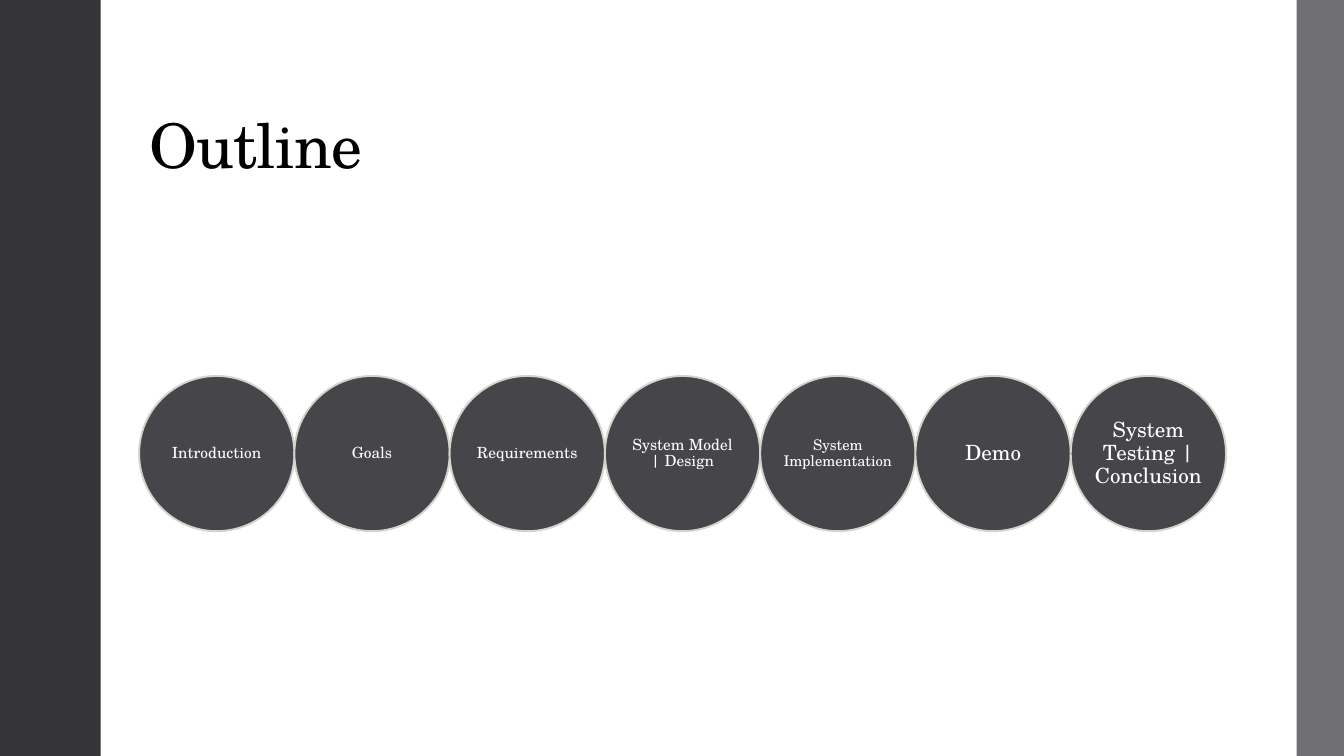
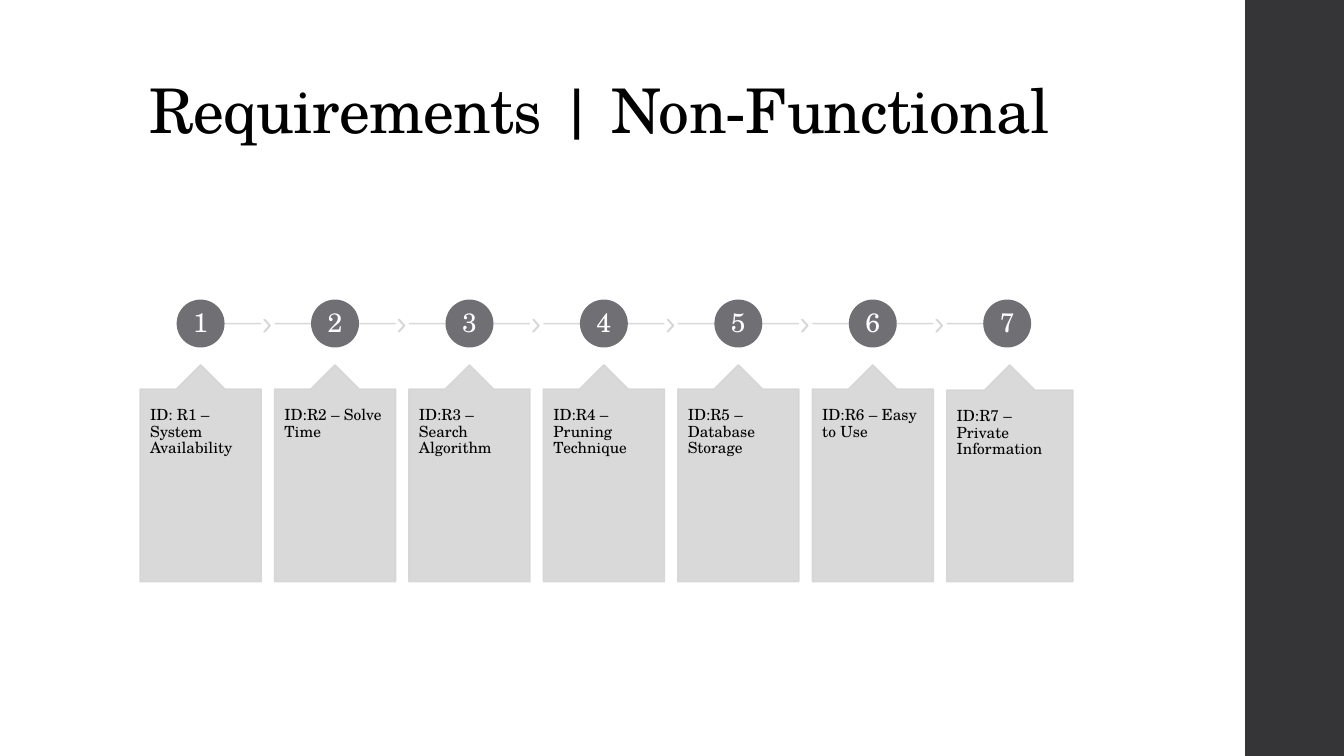
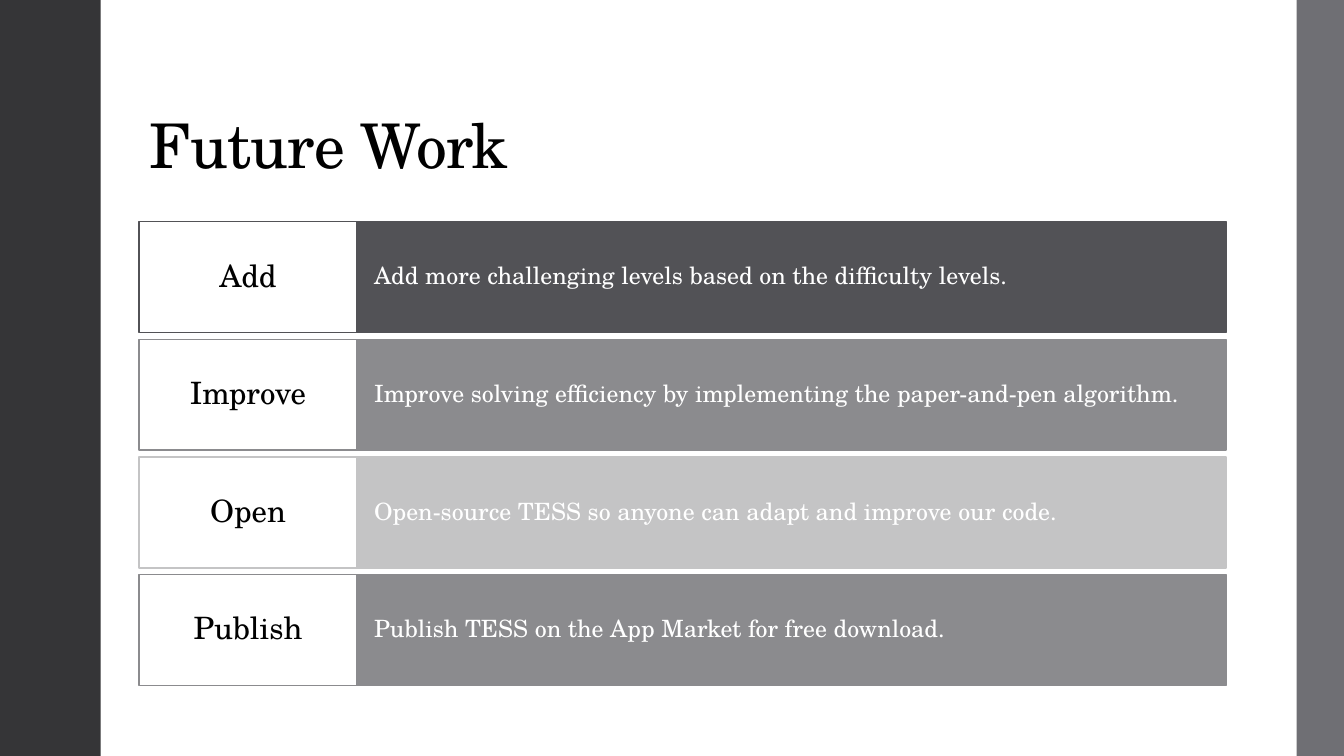
from lxml import etree
from pptx import Presentation
from pptx.dml.color import RGBColor
from pptx.enum.shapes import MSO_CONNECTOR, MSO_SHAPE
from pptx.enum.text import MSO_ANCHOR, MSO_AUTO_SIZE, PP_ALIGN
from pptx.oxml.ns import qn
from pptx.util import Inches, Pt

RECTANGLE, OVAL = MSO_SHAPE.RECTANGLE, MSO_SHAPE.OVAL
CHEVRON, CALLOUT = MSO_SHAPE.CHEVRON, MSO_SHAPE.UP_ARROW_CALLOUT
STRAIGHT = MSO_CONNECTOR.STRAIGHT
TOP, MIDDLE, BOTTOM = MSO_ANCHOR.TOP, MSO_ANCHOR.MIDDLE, MSO_ANCHOR.BOTTOM
LEFT, CENTER = PP_ALIGN.LEFT, PP_ALIGN.CENTER

FONT = "TeX Gyre Schola"
COLORS = {
    "white": "FFFFFF", "black": "000000", "dark": "353537", "gray": "6F6F74",
    "circle": "46464A", "ring": "D6D3CC", "card": "D5D5D6",
    "row_dark": "525256", "row_medium": "8B8B8E", "row_light": "C4C4C5",
}
SLIDE_WIDTH, SLIDE_HEIGHT = 13.33, 7.5
CONTENT_LEFT = 1.38
TWO_BANDS = [(0, 1, "dark"), (12.86, 0.47, "gray")]
ONE_BAND = [(12.35, 0.98, "dark")]

OUTLINE = [
    ("Introduction", 11), ("Goals", 11), ("Requirements", 11),
    ("System Model | Design", 11), ("System Implementation", 10.5),
    ("Demo", 15), ("System Testing | Conclusion", 15),
]
REQUIREMENTS = [
    "ID: R1 – System Availability", "ID:R2 – Solve Time",
    "ID:R3 – Search Algorithm", "ID:R4 – Pruning Technique",
    "ID:R5 – Database Storage", "ID:R6 – Easy to Use",
    "ID:R7 – Private Information",
]
FUTURE_WORK = [
    ("Add", "Add more challenging levels based on the difficulty levels.", "row_dark"),
    ("Improve", "Improve solving efficiency by implementing the paper-and-pen algorithm.", "row_medium"),
    ("Open", "Open-source TESS so anyone can adapt and improve our code.", "row_light"),
    ("Publish", "Publish TESS on the App Market for free download.", "row_medium"),
]


def color(name):
    return RGBColor.from_string(COLORS[name])


def set_text(shape, text, size, color_name, align=CENTER, anchor=MIDDLE, insets=(0, 0)):
    frame = shape.text_frame
    frame.text = text
    frame.word_wrap = True
    frame.auto_size = MSO_AUTO_SIZE.NONE
    frame.vertical_anchor = anchor
    frame.margin_left = frame.margin_right = Inches(insets[0])
    frame.margin_top = frame.margin_bottom = Inches(insets[1])
    paragraph = frame.paragraphs[0]
    paragraph.alignment = align
    paragraph.line_spacing = 0.9
    paragraph.font.name = FONT
    paragraph.font.size = Pt(size)
    paragraph.font.color.rgb = color(color_name)
    return paragraph


def add_box(slide, kind, left, top, width, height, fill, line=None, line_width=1.1):
    shape = slide.shapes.add_shape(
        kind, Inches(left), Inches(top), Inches(width), Inches(height))
    shape.shadow.inherit = False
    shape.fill.solid()
    shape.fill.fore_color.rgb = color(fill)
    if line:
        shape.line.color.rgb = color(line)
        shape.line.width = Pt(line_width)
    else:
        shape.line.fill.background()
    return shape


def add_line(slide, start, end, y, line):
    connector = slide.shapes.add_connector(
        STRAIGHT, Inches(start), Inches(y), Inches(end), Inches(y))
    connector.line.color.rgb = color(line)
    connector.line.width = Pt(1.1)
    etree.SubElement(connector._element.spPr, qn("a:effectLst"))
    return connector


def set_opacity(shape, percent):
    for node in shape._element.spPr.iter(qn("a:srgbClr")):
        etree.SubElement(node, qn("a:alpha")).set("val", str(percent * 1000))


def add_slide(presentation, title, bands, anchor):
    slide = presentation.slides.add_slide(presentation.slide_layouts[5])
    for left, width, fill in bands:
        add_box(slide, RECTANGLE, left, 0, width, SLIDE_HEIGHT, fill)
    shape = slide.shapes.title
    shape.left, shape.top = Inches(CONTENT_LEFT), Inches(0.4)
    shape.width, shape.height = Inches(10.78), Inches(1.45)
    paragraph = set_text(shape, title, 44, "black", LEFT, anchor, (0.1, 0.05))
    paragraph._p.get_or_add_pPr().get_or_add_defRPr().set("spc", "-50")
    return slide


def build_outline(presentation):
    slide = add_slide(presentation, "Outline", TWO_BANDS, BOTTOM)
    diameter = 1.54
    for index, (text, size) in enumerate(OUTLINE):
        circle = add_box(slide, OVAL, CONTENT_LEFT + index * diameter, 3.73,
                         diameter, diameter, "circle", "ring", 1.35)
        set_text(circle, text, size, "white")


def build_requirements(presentation):
    slide = add_slide(presentation, "Requirements | Non-Functional", ONE_BAND, MIDDLE)
    first_left, pitch, card_width, diameter = 1.39, 8 / 6, 1.2, 0.46
    last = len(REQUIREMENTS) - 1
    for index, text in enumerate(REQUIREMENTS):
        left = first_left + index * pitch
        center = left + card_width / 2
        start = left if index > 0 else center
        end = left + card_width if index < last else center
        pale_shapes = [add_line(slide, start, end, 3.21, "card")]
        if index < last:
            chevron = add_box(slide, CHEVRON, left + 1.23, 3.17, 0.06, 0.12, "card", "card")
            chevron.adjustments[0] = 0.9
            pale_shapes.append(chevron)
        number = add_box(slide, OVAL, center - diameter / 2, 2.98,
                         diameter, diameter, "gray", "gray")
        set_text(number, str(index + 1), 19, "white", insets=(0.02, 0.02))
        width = card_width if index < last else 1.25
        card = add_box(slide, CALLOUT, left, 3.62, width, 2.15, "card", "card")
        for position, value in enumerate((0.5, 0.2, 0.2, 1)):
            card.adjustments[position] = value
        set_text(card, text, 11, "black", LEFT, TOP, (0.1, 0.18))
        pale_shapes.append(card)
        for shape in pale_shapes:
            set_opacity(shape, 90)


def build_future_work(presentation):
    slide = add_slide(presentation, "Future Work", TWO_BANDS, BOTTOM)
    label_width, row_width, row_height, pitch = 2.16, 10.78, 1.1, 3.5 / 3
    for index, (label, description, shade) in enumerate(FUTURE_WORK):
        top = 2.2 + index * pitch
        bar = add_box(slide, RECTANGLE, CONTENT_LEFT + label_width, top,
                      row_width - label_width, row_height, shade, shade)
        set_text(bar, description, 17, "white", LEFT, insets=(0.17, 0.28))
        box = add_box(slide, RECTANGLE, CONTENT_LEFT, top,
                      label_width, row_height, "white", shade)
        set_text(box, label, 22, "black", insets=(0.11, 0.11))


def main():
    presentation = Presentation()
    presentation.slide_width = Inches(SLIDE_WIDTH)
    presentation.slide_height = Inches(SLIDE_HEIGHT)
    build_outline(presentation)
    build_requirements(presentation)
    build_future_work(presentation)
    presentation.save("out.pptx")


if __name__ == "__main__":
    main()
